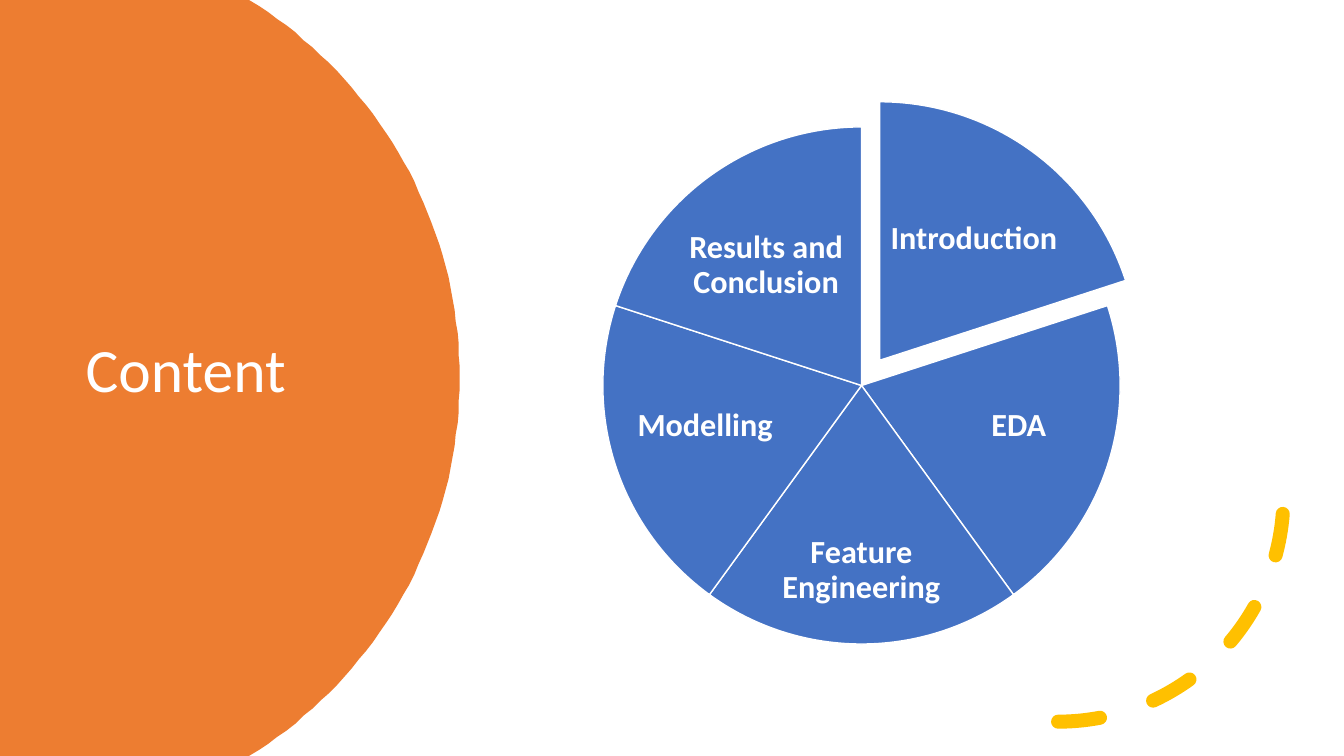
import math

from lxml import etree
from pptx import Presentation
from pptx.dml.color import RGBColor
from pptx.enum.dml import MSO_LINE
from pptx.enum.shapes import MSO_SHAPE
from pptx.enum.text import MSO_ANCHOR, PP_ALIGN
from pptx.oxml.ns import qn
from pptx.util import Pt

PX = 9144  # EMU per px, 100 px to the inch
WIDE, HIGH = 1333, 750
PIE, ARC = MSO_SHAPE.PIE, MSO_SHAPE.ARC
DASH = MSO_LINE.DASH
MIDDLE = MSO_ANCHOR.MIDDLE
LEFT, CENTER = PP_ALIGN.LEFT, PP_ALIGN.CENTER

FONT = "Calibri"
WHITE, ORANGE, BLUE, GOLD = "FFFFFF", "ED7D31", "4472C4", "FFC000"

# Angles in adjustment units: a full turn is 216, the top is 162
TURN, TOP = 216, 162
PIE_SIZE = 513
PIE_X, PIE_Y = 598, 126
PULL_X, PULL_Y = 18, -25  # offset of the first slice

# Label and its box
SLICES = [
    ("Introduction", (879, 178, 174, 119)),
    ("EDA", (934, 358, 153, 129)),
    ("Feature Engineering", (763, 511, 183, 110)),
    ("Modelling", (623, 358, 153, 129)),
    ("Results and Conclusion", (673, 204, 174, 119)),
]


def color(code):
    return RGBColor.from_string(code)


def emu(box):
    return [n * PX for n in box]


def add_text(shapes, box, text, size, align, inset, bold=False):
    frame = shapes.add_textbox(*emu(box)).text_frame
    frame.word_wrap = True
    frame.vertical_anchor = MIDDLE
    frame.margin_left = frame.margin_right = inset * PX
    frame.margin_top = frame.margin_bottom = inset * PX
    para = frame.paragraphs[0]
    para.alignment = align
    para.line_spacing = 0.9
    run = para.add_run()
    run.text = text
    run.font.name = FONT
    run.font.size = Pt(size)
    run.font.bold = bold
    run.font.color.rgb = color(WHITE)


def add_disc(shapes, edge, radius):
    """Circle with its right edge at edge, cut off by the slide."""
    mid = HIGH / 2
    reach = math.asin(mid / radius)
    steps = 80
    angles = [reach * (2 * i / steps - 1) for i in range(steps + 1)]
    rim = [(edge - radius + radius * math.cos(a), mid + radius * math.sin(a))
           for a in angles]
    path = shapes.build_freeform(0, 0, scale=PX)
    path.add_line_segments(rim + [(0, HIGH)], close=True)
    disc = path.convert_to_shape()
    disc.shadow.inherit = False
    disc.fill.solid()
    disc.fill.fore_color.rgb = color(ORANGE)
    disc.line.fill.background()


def add_arc(shapes, box):
    arc = shapes.add_shape(ARC, *emu(box))
    arc.shadow.inherit = False
    arc.fill.background()
    arc.line.color.rgb = color(GOLD)
    arc.line.width = Pt(10)
    arc.line.dash_style = DASH
    # Round dash ends, and a vertical flip
    props = arc._element.spPr
    line = props.find(qn("a:ln"))
    line.set("cap", "rnd")
    etree.SubElement(line, qn("a:round"))
    props.find(qn("a:xfrm")).set("flipV", "1")


def add_slice(shapes, x, y, start, end):
    part = shapes.add_shape(PIE, *emu((x, y, PIE_SIZE, PIE_SIZE)))
    part.adjustments[0] = start
    part.adjustments[1] = end
    part.shadow.inherit = False
    part.fill.solid()
    part.fill.fore_color.rgb = color(BLUE)
    part.line.color.rgb = color(WHITE)
    part.line.width = Pt(1)


def add_pie(shapes):
    step = TURN / len(SLICES)
    for i, (label, box) in enumerate(SLICES):
        x, y = PIE_X, PIE_Y
        if i == 0:
            x, y = x + PULL_X, y + PULL_Y
        start = round((TOP + i * step) % TURN, 2)
        end = round((start + step) % TURN, 2)
        add_slice(shapes, x, y, start, end)
        add_text(shapes, box, label, 23, CENTER, 3, bold=True)


def main():
    deck = Presentation()
    deck.slide_width, deck.slide_height = WIDE * PX, HIGH * PX
    shapes = deck.slides.add_slide(deck.slide_layouts[6]).shapes

    # Title on the orange disc
    add_disc(shapes, 456, 441)
    add_text(shapes, (75, 126, 350, 488), "Content", 44, LEFT, 10)

    # Dashed arc in the corner
    add_arc(shapes, (826, 269, 447, 447))

    # Pie of topics
    add_pie(shapes.add_group_shape().shapes)

    deck.save("out.pptx")


if __name__ == "__main__":
    main()
